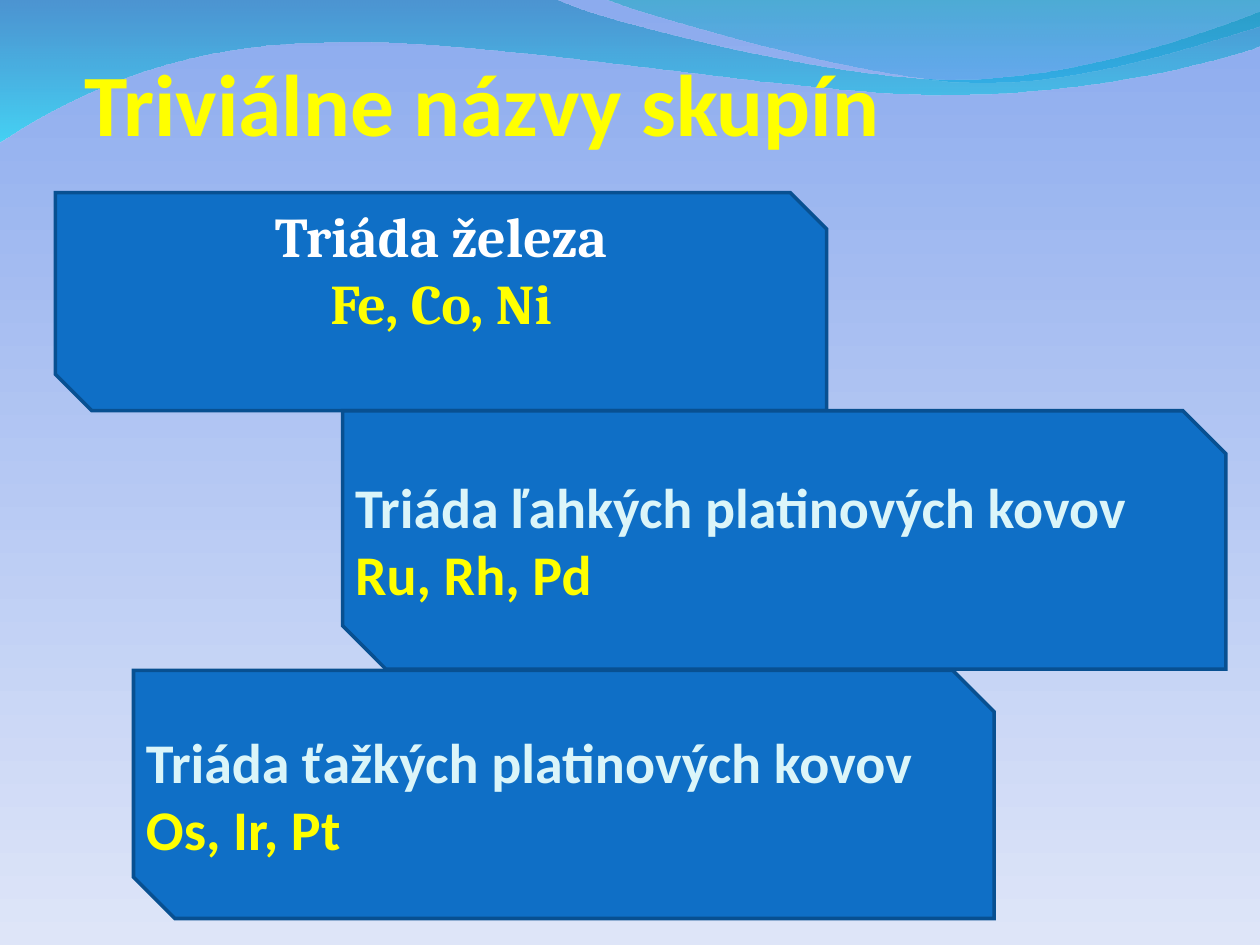
from pptx import Presentation
from pptx.dml.color import RGBColor
from pptx.enum.text import MSO_ANCHOR, PP_ALIGN
from pptx.oxml.ns import qn
from pptx.util import Inches, Pt
from lxml.etree import SubElement

WIDTH, HEIGHT = 10, 7.5
UNITS_PER_INCH = 1000
SNIP = 1 / 6

YELLOW = RGBColor(0xFF, 0xFF, 0x00)
WHITE = RGBColor(0xFF, 0xFF, 0xFF)
PALE = RGBColor(0xDB, 0xF5, 0xF9)
BLUE = RGBColor(0x0F, 0x6F, 0xC6)
OUTLINE = RGBColor(0x08, 0x50, 0x91)
SKY_TOP = RGBColor(0x8C, 0xAB, 0xEE)
SKY_BOTTOM = RGBColor(0xDE, 0xE5, 0xF8)
WAVE_DARK = RGBColor(0x00, 0x79, 0xAF)
WAVE_CYAN = RGBColor(0x00, 0xEB, 0xF8)
CREST_TEAL = RGBColor(0x00, 0xAD, 0xB6)
CREST_BLUE = RGBColor(0x00, 0x9B, 0xE5)

TITLE = "Triviálne názvy skupín"

TRIADS = [
    dict(lines=[["Triáda železa", "Fe, Co, Ni"]], box=(0.44, 1.53, 6.12, 1.73),
         font="Cambria", color=WHITE, align=PP_ALIGN.CENTER, bottom=0.58),
    dict(lines=[["Triáda ľahkých platinových kovov"], ["Ru, Rh, Pd"]],
         box=(2.72, 3.26, 7.01, 2.05),
         font="Calibri", color=PALE, align=PP_ALIGN.LEFT, bottom=0.05),
    dict(lines=[["Triáda ťažkých platinových kovov"], ["Os, Ir, Pt"]],
         box=(1.06, 5.32, 6.83, 1.97),
         font="Calibri", color=PALE, align=PP_ALIGN.LEFT, bottom=0.05),
]

WAVES = [
    dict(start=(0, -0.01),
         segments=[
             [(4.4, -0.01)],
             [(4.76, 0.17), (6.64, 0.63), (7.58, 0.63)],
             [(8.53, 0.63), (9.58, 0.26), (10, 0.09)],
             [(10.01, 0.36)],
             [(9.83, 0.44), (8.7, 0.76), (7.46, 0.75)],
             [(6.22, 0.75), (3.82, 0.28), (2.57, 0.34)],
             [(1.29, 0.35), (0.46, 0.83), (-0.01, 1.13)],
         ],
         stops=[(WAVE_DARK, 45), (WAVE_CYAN, 55)]),
    dict(start=(4.79, -0.01),
         segments=[
             [(5.09, 0.11), (6.82, 0.62), (7.69, 0.65)],
             [(8.56, 0.69), (9.61, 0.32), (10, 0.21)],
             [(10, 0)],
         ],
         stops=[(CREST_TEAL, 45), (CREST_BLUE, 30)]),
]


def to_units(points):
    return [(round(x * UNITS_PER_INCH), round(y * UNITS_PER_INCH)) for x, y in points]


def snipped_outline(left, top, width, height):
    right, bottom, cut = left + width, top + height, SNIP * height
    return [(left, top), (right - cut, top), (right, top + cut),
            (right, bottom), (left + cut, bottom), (left, bottom - cut)]


def add_outline(slide, points):
    scaled = to_units(points)
    builder = slide.shapes.build_freeform(*scaled[0], scale=Inches(1) / UNITS_PER_INCH)
    builder.add_line_segments(scaled[1:], close=True)
    shape = builder.convert_to_shape()
    shape.shadow.inherit = False
    return shape


def add_wave(slide, start, segments, stops):
    corners = [start] + [segment[-1] for segment in segments]
    shape = add_outline(slide, corners)
    left, top = (min(values) for values in zip(*to_units(corners)))
    lines = list(shape._element.iter(qn("a:lnTo")))
    for line, segment in zip(lines, segments):
        if len(segment) == 3:
            line_parent = line.getparent()
            curve = SubElement(line_parent, qn("a:cubicBezTo"))
            for x, y in to_units(segment):
                point = SubElement(curve, qn("a:pt"))
                point.set("x", str(x - left))
                point.set("y", str(y - top))
            line_parent.replace(line, curve)
    set_gradient(shape.fill, stops)
    shape.line.fill.background()


def set_gradient(fill, stops):
    fill.gradient()
    fill.gradient_angle = 270
    for stop, (color, opacity) in zip(fill.gradient_stops, stops):
        stop.color.rgb = color
    for element, (color, opacity) in zip(fill._xPr.iter(qn("a:srgbClr")), stops):
        if opacity < 100:
            SubElement(element, qn("a:alpha")).set("val", str(opacity * 1000))


def write(paragraph, text, *, font, size, color, align=PP_ALIGN.LEFT):
    paragraph.alignment = align
    run = paragraph.add_run()
    run.text = text
    run.font.name = font
    run.font.size = Pt(size)
    run.font.bold = True
    run.font.color.rgb = color


def set_frame(frame, anchor, left, top, right, bottom):
    frame.word_wrap = True
    frame.vertical_anchor = anchor
    frame.margin_left, frame.margin_top = Inches(left), Inches(top)
    frame.margin_right, frame.margin_bottom = Inches(right), Inches(bottom)


def add_triad(slide, triad):
    shape = add_outline(slide, snipped_outline(*triad["box"]))
    shape.fill.solid()
    shape.fill.fore_color.rgb = BLUE
    shape.line.color.rgb = OUTLINE
    shape.line.width = Pt(2)
    SubElement(shape.line._get_or_add_ln(), qn("a:miter")).set("lim", "800000")
    frame = shape.text_frame
    set_frame(frame, MSO_ANCHOR.MIDDLE, 0.1, 0.05, 0.1, triad["bottom"])
    color = triad["color"]
    for index, texts in enumerate(triad["lines"]):
        paragraph = frame.add_paragraph() if index else frame.paragraphs[0]
        for position, text in enumerate(texts):
            if position:
                paragraph.add_line_break()
            write(paragraph, text, font=triad["font"], size=32, color=color,
                  align=triad["align"])
            color = YELLOW


def main():
    presentation = Presentation()
    presentation.slide_width, presentation.slide_height = Inches(WIDTH), Inches(HEIGHT)
    slide = presentation.slides.add_slide(presentation.slide_layouts[6])
    set_gradient(slide.background.fill, [(SKY_TOP, 100), (SKY_BOTTOM, 100)])

    for wave in WAVES:
        add_wave(slide, **wave)

    title = slide.shapes.add_textbox(Inches(0.2), Inches(-0.03), Inches(9), Inches(1.25))
    set_frame(title.text_frame, MSO_ANCHOR.BOTTOM, 0.47, 0.05, 0, 0)
    write(title.text_frame.paragraphs[0], TITLE, font="Calibri", size=50, color=YELLOW)

    for triad in TRIADS:
        add_triad(slide, triad)

    presentation.save("out.pptx")


if __name__ == "__main__":
    main()
